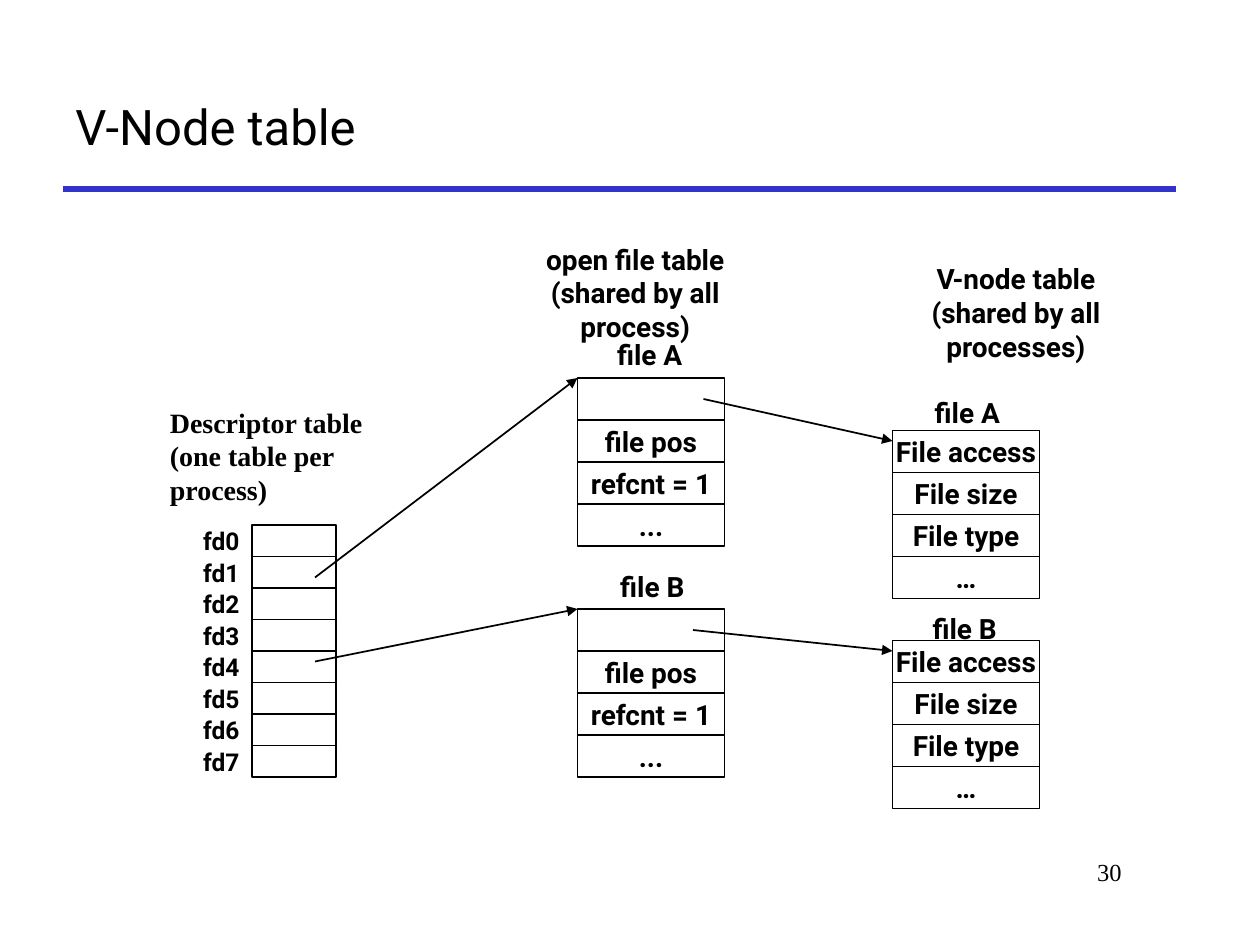
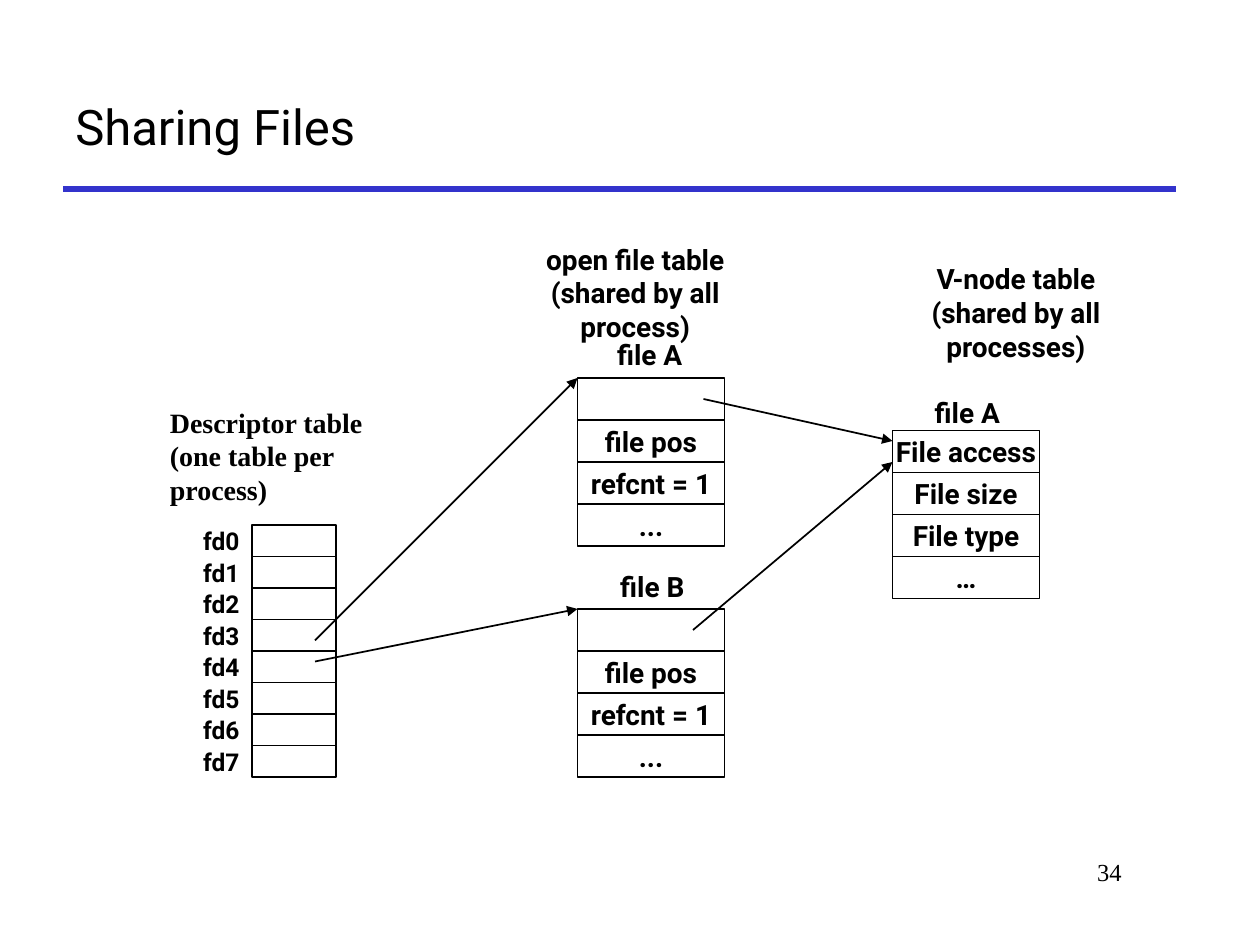
from lxml.etree import SubElement
from pptx import Presentation
from pptx.dml.color import RGBColor
from pptx.enum.shapes import MSO_CONNECTOR as CONNECTOR, MSO_SHAPE as SHAPE
from pptx.enum.text import MSO_ANCHOR as ANCHOR, PP_ALIGN as ALIGN
from pptx.oxml.ns import qn
from pptx.util import Pt

EMU_PER_PX = 9525
COLORS = {"ink": "000000", "rule": "3333CC"}
SANS, SERIF = "Roboto", "Times New Roman"

TITLE_FORMAT = {"name": SANS, "size": Pt(28), "bold": False}
NUMBER_FORMAT = {"name": SERIF, "size": Pt(14), "bold": False}
LABEL_FORMAT = {"name": SANS, "size": Pt(16), "bold": True}
INDEX_FORMAT = {"name": SANS, "size": Pt(14), "bold": True}
NOTE_FORMAT = {"name": SERIF, "size": Pt(16), "bold": True}

FD_COUNT, FD_WIDTH, FD_HEIGHT = 8, 64, 24
CELL_WIDTH, CELL_HEIGHT = 112, 32
OPEN_FILE_ROWS = ["", "file pos", "refcnt = 1", "..."]
V_NODE_ROWS = ["File access", "File size", "File type", "…"]

FD_LEFT, FD_TOP = 192, 400
OPEN_LEFT, OPEN_A_TOP, OPEN_B_TOP = 440, 288, 464
V_LEFT, V_A_TOP, V_B_TOP = 680, 328, 488


def px(*lengths):
    return [length * EMU_PER_PX for length in lengths]


def color(name):
    return RGBColor.from_string(COLORS[name])


def write(shape, lines, font_format, align, anchor=ANCHOR.MIDDLE, wrap=True):
    frame = shape.text_frame
    frame.word_wrap = wrap
    frame.vertical_anchor = anchor
    for index, line in enumerate(lines):
        para = frame.add_paragraph() if index else frame.paragraphs[0]
        para.alignment = align
        span = para.add_run()
        span.text = line
        for name, value in font_format.items():
            setattr(span.font, name, value)
        span.font.color.rgb = color("ink")


def add_text(page, box, lines, font_format, align, **options):
    write(page.shapes.add_textbox(*px(*box)), lines, font_format, align, **options)


def add_cell(page, box, text=""):
    cell = page.shapes.add_shape(SHAPE.RECTANGLE, *px(*box))
    cell.shadow.inherit = False
    cell.fill.background()
    cell.line.color.rgb = color("ink")
    cell.line.width = Pt(1)
    if text:
        write(cell, [text], LABEL_FORMAT, ALIGN.CENTER, wrap=False)


def add_line(page, start, end, color_name="ink", width=1, arrow=False):
    line = page.shapes.add_connector(CONNECTOR.STRAIGHT, *px(*start, *end))
    line.line.color.rgb = color(color_name)
    line.line.width = Pt(width)
    properties = line.element.spPr
    if arrow:
        SubElement(properties.find(qn("a:ln")), qn("a:tailEnd"), type="triangle")
    SubElement(properties, qn("a:effectLst"))


def add_frame(page, title, number):
    """Place the title, the rule below it and the page number."""
    add_line(page, (48, 144), (896, 144), "rule", 3)
    add_text(page, (48, 48, 848, 96), [title], TITLE_FORMAT, ALIGN.LEFT)
    add_text(page, (728, 648, 136, 48), [str(number)], NUMBER_FORMAT, ALIGN.RIGHT,
             anchor=ANCHOR.TOP)


def add_descriptor_table(page, left, top):
    add_text(page, (left - 72, top - 96, 168, 86),
             ["Descriptor table (one table per process)"], NOTE_FORMAT, ALIGN.LEFT,
             anchor=ANCHOR.TOP)
    for index in range(FD_COUNT):
        row_top = top + index * FD_HEIGHT
        add_cell(page, (left, row_top, FD_WIDTH, FD_HEIGHT))
        add_text(page, (left - FD_WIDTH, row_top, FD_WIDTH, FD_HEIGHT),
                 [f"fd{index}"], INDEX_FORMAT, ALIGN.RIGHT, wrap=False)


def add_file_entry(page, left, top, name, rows, name_shift):
    """Stack the rows of one file, with its name above them."""
    shift_x, shift_y = name_shift
    add_text(page, (left + shift_x, top - shift_y, 72, 36), [name],
             LABEL_FORMAT, ALIGN.CENTER, wrap=False)
    for index, text in enumerate(rows):
        add_cell(page, (left, top + index * CELL_HEIGHT, CELL_WIDTH, CELL_HEIGHT), text)


def add_open_file_table(page, left, top_a, top_b):
    add_text(page, (left - 72, top_a - 108, 232, 86),
             ["open file table", "(shared by all process)"], LABEL_FORMAT, ALIGN.CENTER)
    add_file_entry(page, left, top_a, "file A", OPEN_FILE_ROWS, (19, 36))
    add_file_entry(page, left, top_b, "file B", OPEN_FILE_ROWS, (21, 35))


def add_v_node_table(page, left, top_a, top_b=None):
    add_text(page, (left + 4, top_a - 133, 180, 86),
             ["V-node table", "(shared by all processes)"], LABEL_FORMAT, ALIGN.CENTER)
    add_file_entry(page, left, top_a, "file A", V_NODE_ROWS, (21, 32))
    if top_b is not None:
        add_file_entry(page, left, top_b, "file B", V_NODE_ROWS, (19, 27))


def add_pointers(page, fd_for_a, v_node_y_for_b):
    """Link descriptors to open files, and open files to v-nodes."""
    pointer_x = FD_LEFT + 48
    pointers = [
        ((pointer_x, FD_TOP + fd_for_a * FD_HEIGHT + 16), (OPEN_LEFT, OPEN_A_TOP)),
        ((pointer_x, FD_TOP + 4 * FD_HEIGHT + 8), (OPEN_LEFT, OPEN_B_TOP)),
        ((OPEN_LEFT + 96, OPEN_A_TOP + 16), (V_LEFT, V_A_TOP + 8)),
        ((OPEN_LEFT + 88, OPEN_B_TOP + 16), (V_LEFT, v_node_y_for_b)),
    ]
    for start, end in pointers:
        add_line(page, start, end, arrow=True)


def add_diagram_page(deck, title, number, fd_for_a, v_node_y_for_b, v_b_top=None):
    page = deck.slides.add_slide(deck.slide_layouts[6])
    add_frame(page, title, number)
    add_descriptor_table(page, FD_LEFT, FD_TOP)
    add_open_file_table(page, OPEN_LEFT, OPEN_A_TOP, OPEN_B_TOP)
    add_v_node_table(page, V_LEFT, V_A_TOP, v_b_top)
    add_pointers(page, fd_for_a, v_node_y_for_b)


def main():
    deck = Presentation()
    deck.slide_width, deck.slide_height = px(960, 720)
    add_diagram_page(deck, "V-Node table", 30, 1, V_B_TOP + 8, V_B_TOP)
    add_diagram_page(deck, "Sharing Files", 34, 3, V_A_TOP + 24)
    deck.save("out.pptx")


if __name__ == "__main__":
    main()
